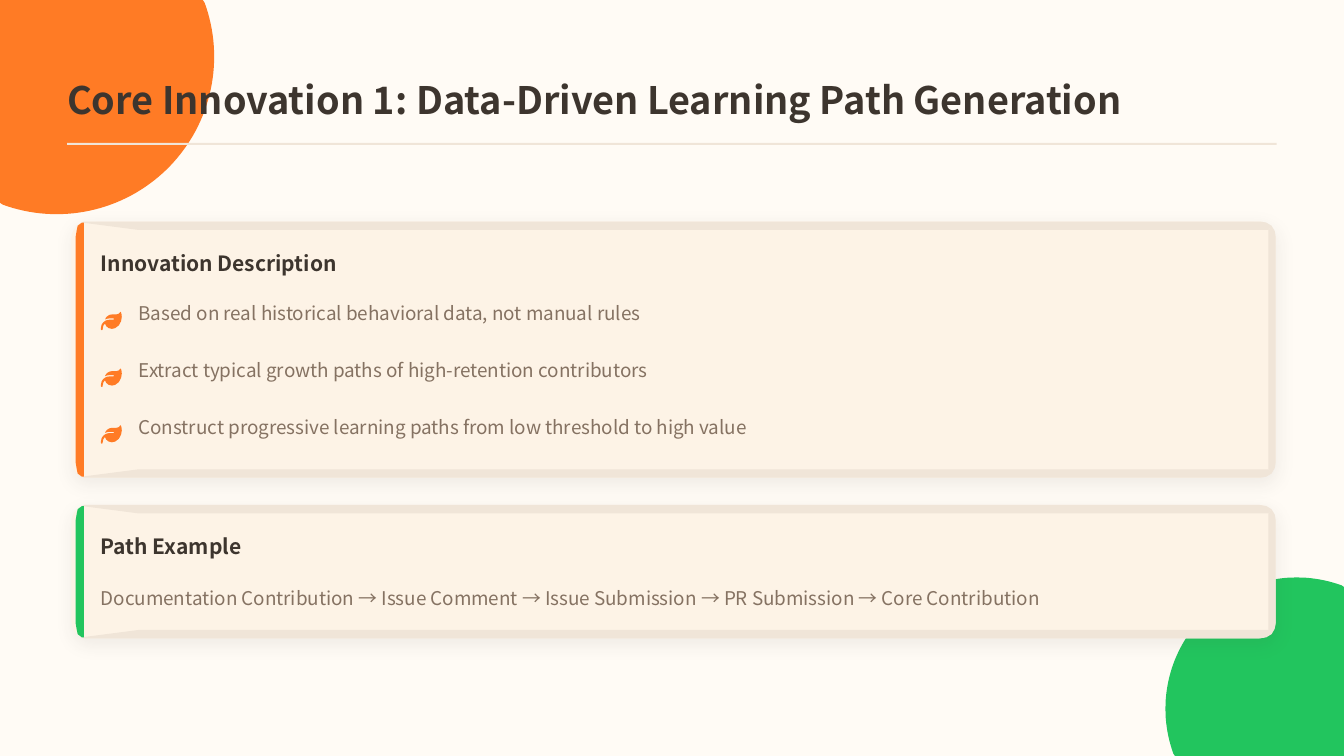
"""Build the slide on data-driven learning path generation."""
import math

import pptx
import pptx.dml.color
import pptx.enum.shapes
import pptx.enum.text
import pptx.oxml
import pptx.oxml.ns
import pptx.util

PX = 9525
FINE = 100
WIDTH, HEIGHT = 1280, 720
FONT = "Noto Sans CJK SC"
COLORS = {
    "page": "FFFBF5",
    "panel": "FDF3E6",
    "trim": "F0E5D8",
    "orange": "FF7B25",
    "green": "22C55E",
    "dark": "3D352E",
    "muted": "857262",
}
CARD_LEFT, CARD_RIGHT = 68, 1215
LEAF_SIZE, LEAF_GRID = 20, 512
LEAF_OUTLINE = [
    (272, 64), (210, 75), (150, 114), (120, 151), (104, 186), (158, 167),
    (216, 160), (304, 160), (316, 165), (320, 176), (316, 187), (304, 192),
    (216, 192), (168, 197), (130, 209), (96, 228), (56, 262), (20, 314),
    (0, 408), (0, 424), (7, 441), (24, 448), (41, 441), (48, 424),
    (48, 408), (62, 338), (102, 285), (133, 349), (190, 396), (272, 416),
    (350, 398), (440, 330), (495, 228), (512, 125), (507, 63), (491, 5),
    (483, 0), (475, 5), (435, 48), (376, 64),
]
POINTS = [
    "Based on real historical behavioral data, not manual rules",
    "Extract typical growth paths of high-retention contributors",
    "Construct progressive learning paths from low threshold to high value",
]
PATH_STEPS = [
    "Documentation Contribution",
    "Issue Comment",
    "Issue Submission",
    "PR Submission",
    "Core Contribution",
]


def rgb(name):
    """Return the named colour."""
    return pptx.dml.color.RGBColor.from_string(COLORS[name])


def paint(shape, color):
    """Give a shape a flat fill without line or shadow."""
    shape.shadow.inherit = False
    shape.fill.solid()
    shape.fill.fore_color.rgb = rgb(color)
    shape.line.fill.background()


def add_box(slide, kind, left, top, width, height, color):
    """Add a flat preset shape measured in px."""
    lengths = [value * PX for value in (left, top, width, height)]
    shape = slide.shapes.add_shape(kind, *lengths)
    paint(shape, color)
    return shape


def add_polygon(slide, points, color):
    """Add a flat closed outline through points in px."""
    points = [(x * FINE, y * FINE) for x, y in points]
    builder = slide.shapes.build_freeform(*points[0], scale=PX / FINE)
    builder.add_line_segments(points[1:], close=True)
    paint(builder.convert_to_shape(), color)


def add_corner_circle(slide, center_x, center_y, radius, color):
    """Add a circle cut off at the slide edges."""
    points = []
    for degree in range(0, 360, 2):
        angle = math.radians(degree)
        x = center_x + radius * math.cos(angle)
        y = center_y + radius * math.sin(angle)
        points.append((min(max(x, 0), WIDTH), min(max(y, 0), HEIGHT)))
    add_polygon(slide, points, color)


def add_text(slide, text, left, top, width, height, *, size, color, bold=False):
    """Add a one-line text box measured in px."""
    lengths = [value * PX for value in (left, top, width, height)]
    frame = slide.shapes.add_textbox(*lengths).text_frame
    frame.margin_left = frame.margin_right = 0
    frame.margin_top = frame.margin_bottom = 0
    frame.word_wrap = True
    frame.vertical_anchor = pptx.enum.text.MSO_ANCHOR.MIDDLE
    run = frame.paragraphs[0].add_run()
    run.text = text
    run.font.size = pptx.util.Pt(size)
    run.font.bold = bold
    run.font.color.rgb = rgb(color)
    run.font.name = FONT
    properties = run.font._element
    for tag in ("a:ea", "a:cs"):
        pptx.oxml.ns.qn(tag)
        child = pptx.oxml.parse_xml(
            f'<{tag} {pptx.oxml.ns.nsdecls("a")} typeface="{FONT}"/>')
        properties.append(child)


def add_soft_shadow(shape):
    """Put a faint downward shadow under a shape."""
    effects = shape._element.spPr.find(pptx.oxml.ns.qn("a:effectLst"))
    effects.append(pptx.oxml.parse_xml(
        f'<a:outerShdw {pptx.oxml.ns.nsdecls("a")} blurRad="{pptx.util.Pt(12)}" '
        f'dist="{pptx.util.Pt(4)}" dir="5400000" algn="ctr" rotWithShape="0">'
        f'<a:srgbClr val="{COLORS["dark"]}"><a:alpha val="8000"/></a:srgbClr>'
        '</a:outerShdw>'))


def add_card(slide, top, height, accent, heading):
    """Add a panel with trimmed edges, a coloured left edge and a heading."""
    bottom = top + height
    panel = add_box(slide, pptx.enum.shapes.MSO_SHAPE.ROUNDED_RECTANGLE,
                    CARD_LEFT, top, CARD_RIGHT - CARD_LEFT, height, "panel")
    panel.adjustments[0] = 16 / height
    add_soft_shadow(panel)
    bar = [(1208, 8), (132, 8), (78, 1), (80, 0), (1200, 0), (1206, 1), (1211, 4)]
    add_polygon(slide, [(x, top + y) for x, y in bar], "trim")
    add_polygon(slide, [(x, bottom - y) for x, y in bar], "trim")
    right_side = [(1208, 8), (1211, 4), (1214, 9), (1215, 15)]
    left_side = [(80, 1), (78, 1), (74, 4), (73, 9), (72, 15)]
    for side, color in ((right_side, "trim"), (left_side, accent)):
        upper = [(x, top + y) for x, y in side]
        lower = [(x, bottom - y) for x, y in reversed(side)]
        add_polygon(slide, upper + lower, color)
    add_text(slide, heading, 96, top + 28, 290, 23, size=15, color="dark", bold=True)


def add_leaf_point(slide, text, top):
    """Add a line of text marked by a leaf."""
    unit = LEAF_SIZE / LEAF_GRID
    leaf = [(96 + x * unit, top + 9 + y * unit) for x, y in LEAF_OUTLINE]
    add_polygon(slide, leaf, "orange")
    add_text(slide, text, 132, top, 745, 21, size=13.5, color="muted")


def main():
    """Build and save the presentation."""
    presentation = pptx.Presentation()
    presentation.slide_width = WIDTH * PX
    presentation.slide_height = HEIGHT * PX
    slide = presentation.slides.add_slide(presentation.slide_layouts[6])
    rectangle = pptx.enum.shapes.MSO_SHAPE.RECTANGLE
    add_box(slide, rectangle, 0, 0, WIDTH, HEIGHT, "page")
    add_corner_circle(slide, 54, 54, 150, "orange")
    add_corner_circle(slide, 1235, 675, 125, "green")
    add_box(slide, rectangle, 64, 136, 1152, 2, "trim")
    add_text(slide, "Core Innovation 1: Data-Driven Learning Path Generation",
             64, 74, 1152, 42, size=27, color="dark", bold=True)
    add_card(slide, 211, 244, "orange", "Innovation Description")
    for index, text in enumerate(POINTS):
        add_leaf_point(slide, text, 288 + 54 * index)
    add_card(slide, 481, 127, "green", "Path Example")
    add_text(slide, " → ".join(PATH_STEPS), 96, 559, 1047, 21,
             size=13.5, color="muted")
    presentation.save("out.pptx")


if __name__ == "__main__":
    main()
